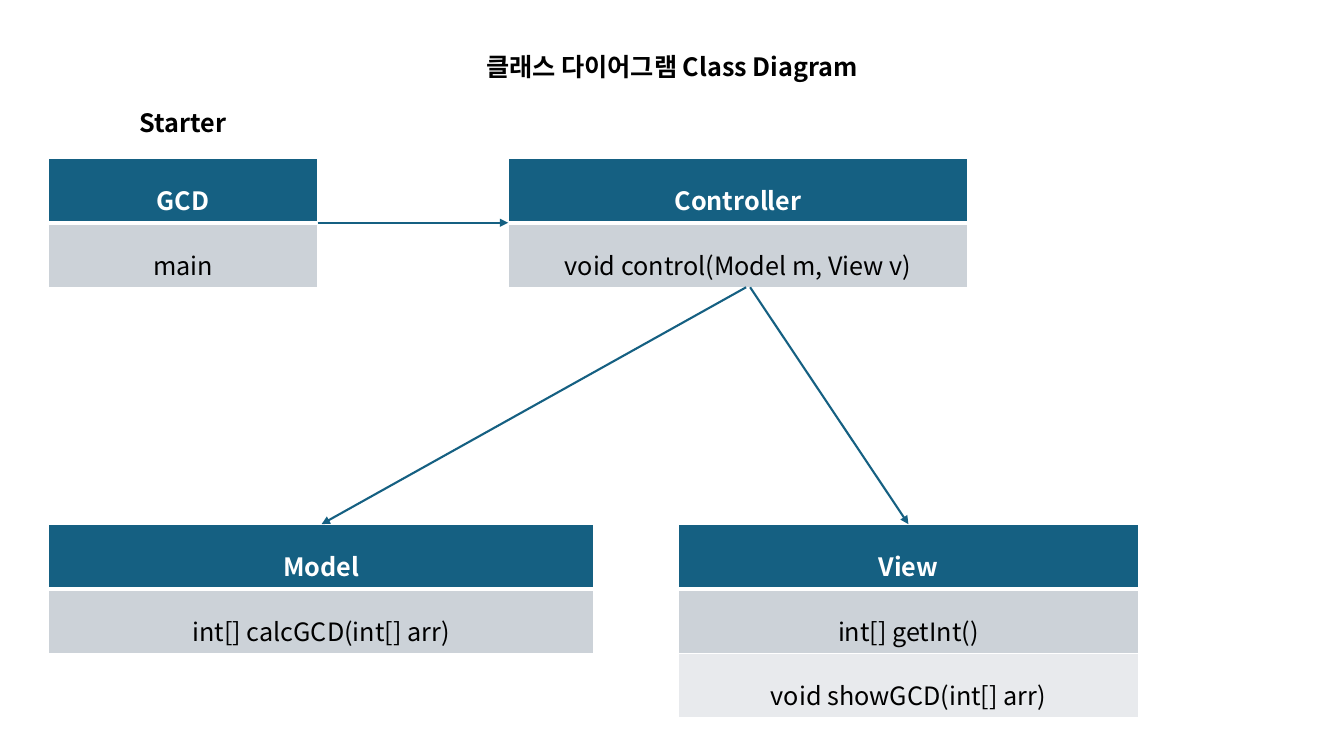
from lxml.etree import SubElement
from pptx import Presentation
from pptx.dml.color import RGBColor
from pptx.enum.shapes import MSO_CONNECTOR
from pptx.enum.text import MSO_AUTO_SIZE, PP_ALIGN
from pptx.oxml.ns import qn
from pptx.util import Emu, Pt

PX = 9144
FONT = "Noto Sans CJK KR"
TEAL, WHITE, BLACK = "156082", "FFFFFF", "000000"
BANDS = ["CCD2D8", "E8EAED"]
ROW_HEIGHT = 64
TOP_ROW, BOTTOM_ROW = 157, 520
HEADINGS = [("클래스 다이어그램 Class Diagram", 432, 46), ("Starter", -53, 102)]
CLASSES = [
    ("GCD", ["main"], 48, TOP_ROW, 267),
    ("Controller", ["void control(Model m, View v)"], 504, TOP_ROW, 456),
    ("Model", ["int[] calcGCD(int[] arr)"], 48, BOTTOM_ROW, 541),
    ("View", ["int[] getInt()", "void showGCD(int[] arr)"], 673, BOTTOM_ROW, 456),
]
CONTROLLER_BOTTOM = TOP_ROW + 2 * ROW_HEIGHT
ARROWS = [
    (315, TOP_ROW + ROW_HEIGHT, 504, TOP_ROW + ROW_HEIGHT),
    (740, CONTROLLER_BOTTOM, 319, BOTTOM_ROW),
    (744, CONTROLLER_BOTTOM, 901, BOTTOM_ROW),
]


def px(*lengths):
    """Turn px lengths into EMU."""
    return [Emu(length * PX) for length in lengths]


def color(value):
    """Turn a hex string into a colour."""
    return RGBColor.from_string(value)


def write(frame, text, ink, bold, spacing=1.0):
    """Write one centred line of text into a frame."""
    line = frame.paragraphs[0]
    line.alignment = PP_ALIGN.CENTER
    line.line_spacing = spacing
    run = line.add_run()
    run.text = text
    for key, value in {"name": FONT, "size": Pt(18), "bold": bold}.items():
        setattr(run.font, key, value)
    run.font.color.rgb = color(ink)
    SubElement(run.font._element, qn("a:ea"), typeface=FONT)


def add_heading(slide, text, left, top):
    """Add a bold heading."""
    heading = slide.shapes.add_textbox(*px(left, top, 469, 40))
    frame = heading.text_frame
    frame.word_wrap = True
    frame.auto_size = MSO_AUTO_SIZE.SHAPE_TO_FIT_TEXT
    write(frame, text, BLACK, True)


def set_borders(cell, widths):
    """Give a cell white borders, with widths in points by side."""
    properties = cell._tc.get_or_add_tcPr()
    for index, (side, width) in enumerate(widths.items()):
        border = SubElement(properties, qn(f"a:ln{side}"), w=str(Pt(width)))
        fill = SubElement(border, qn("a:solidFill"))
        SubElement(fill, qn("a:srgbClr"), val=WHITE)
        properties.insert(index, border)


def add_class(slide, name, methods, left, top, width):
    """Add a class table with its name above its methods."""
    rows = [name, *methods]
    box = px(left, top, width, ROW_HEIGHT * len(rows))
    table = slide.shapes.add_table(len(rows), 1, *box).table
    for index, text in enumerate(rows):
        header = index == 0
        cell = table.cell(index, 0)
        cell.fill.solid()
        cell.fill.fore_color.rgb = color(TEAL if header else BANDS[index - 1])
        write(cell.text_frame, text, WHITE if header else BLACK, header, 1.5)
        above, below = 3 if index == 1 else 1, 3 if header else 1
        set_borders(cell, {"L": 1, "R": 1, "T": above, "B": below})


def add_arrow(slide, *ends):
    """Add an arrow between two points."""
    arrow = slide.shapes.add_connector(MSO_CONNECTOR.STRAIGHT, *px(*ends))
    arrow.line.color.rgb = color(TEAL)
    arrow.line.width = Pt(1.5)
    SubElement(arrow.line._get_or_add_ln(), qn("a:tailEnd"), type="triangle")
    SubElement(arrow._element.spPr, qn("a:effectLst"))


def main():
    """Build the class diagram slide."""
    deck = Presentation()
    deck.slide_width, deck.slide_height = px(1333, 750)
    slide = deck.slides.add_slide(deck.slide_layouts[6])
    for heading in HEADINGS:
        add_heading(slide, *heading)
    for entry in CLASSES:
        add_class(slide, *entry)
    for arrow in ARROWS:
        add_arrow(slide, *arrow)
    deck.save("out.pptx")


if __name__ == "__main__":
    main()
